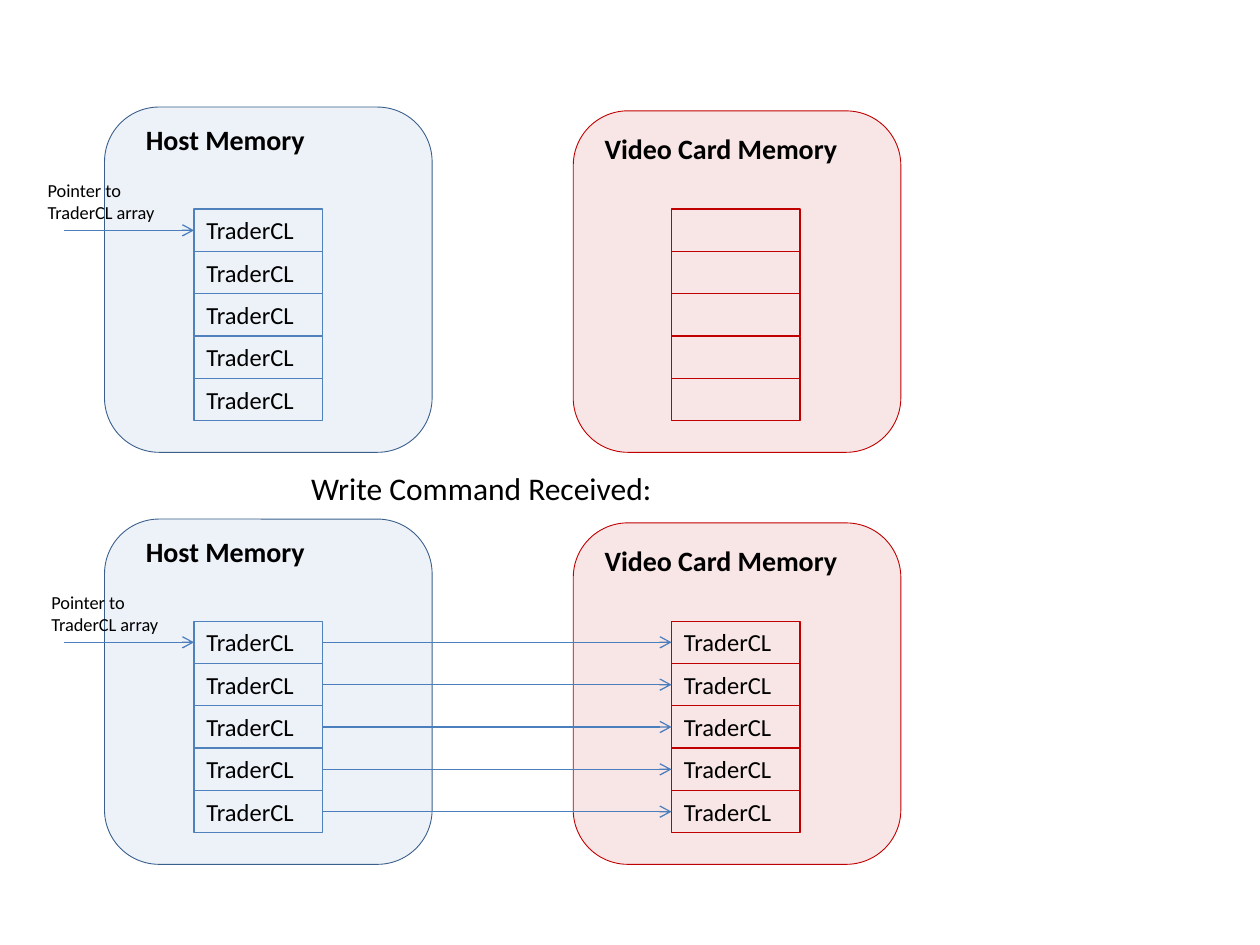
"""Slide showing a TraderCL array copied from host memory to video card memory."""
from lxml import etree
from pptx import Presentation
from pptx.dml.color import RGBColor
from pptx.enum import shapes, text
from pptx.oxml import ns
from pptx.util import Inches, Pt

COLORS = {"host": "4F81BD", "host_edge": "3A5F8C", "card": "C00000",
          "arrow": "4B7EBC", "text": "000000"}
COLORS = {part: RGBColor.from_string(value) for part, value in COLORS.items()}
ROWS, ROW_HEIGHT, CELL_WIDTH = 5, 0.336, 1.02
HOST_X, CARD_X, POINTER_X = 1.54, 5.33, 0.51

prs = Presentation()
prs.slide_width, prs.slide_height = Inches(10), Inches(7.5)
slide = prs.slides.add_slide(prs.slide_layouts[6])


def write(holder, words, size, bold=False, align=text.PP_ALIGN.LEFT):
    frame = holder.text_frame
    frame.word_wrap = True
    frame.vertical_anchor = text.MSO_ANCHOR.TOP
    paragraph = frame.paragraphs[0]
    paragraph.text = words
    paragraph.alignment = align
    paragraph.font.name = "Calibri"
    paragraph.font.size = Pt(size)
    paragraph.font.bold = bold
    paragraph.font.color.rgb = COLORS["text"]


def add_arrow(start, end, y):
    arrow = slide.shapes.add_connector(
        shapes.MSO_CONNECTOR.STRAIGHT, Inches(start), Inches(y), Inches(end), Inches(y))
    arrow.line.color.rgb = COLORS["arrow"]
    arrow.line.width = Pt(0.75)
    etree.SubElement(arrow.line._get_or_add_ln(), ns.qn("a:tailEnd"), type="arrow")
    etree.SubElement(arrow._element.spPr, ns.qn("a:effectLst"))


stages = [(0.85, 0.28, "", False), (4.12, 0.31, "TraderCL", True)]
for top, label_x, card_entry, copying in stages:
    array_top = top + 0.81
    memories = [
        (0.83, top, 2.74, "host", "host_edge", HOST_X, "TraderCL",
         "Host Memory", 1.06, top + 0.07, 1.5),
        (4.55, top + 0.03, 2.71, "card", "card", CARD_X, card_entry,
         "Video Card Memory", 4.7, top + 0.145, 2.28),
    ]
    for x, y, height, color, edge, cell_x, entry, title, title_x, title_y, title_width in memories:
        memory = slide.shapes.add_shape(
            shapes.MSO_SHAPE.ROUNDED_RECTANGLE, Inches(x), Inches(y), Inches(2.6), Inches(height))
        memory.shadow.inherit = False
        memory.fill.solid()
        memory.fill.fore_color.rgb = COLORS[color]
        tint = memory._element.spPr.find(".//" + ns.qn("a:srgbClr"))
        etree.SubElement(tint, ns.qn("a:alpha"), val="10000")
        memory.line.color.rgb = COLORS[edge]
        memory.line.width = Pt(0.5)

        for row in range(ROWS):
            cell = slide.shapes.add_shape(
                shapes.MSO_SHAPE.RECTANGLE, Inches(cell_x), Inches(array_top + row * ROW_HEIGHT),
                Inches(CELL_WIDTH), Inches(ROW_HEIGHT))
            cell.shadow.inherit = False
            cell.fill.background()
            cell.line.color.rgb = COLORS[color]
            cell.line.width = Pt(0.75)
            if entry:
                write(cell, entry, 14)

        heading = slide.shapes.add_textbox(
            Inches(title_x), Inches(title_y), Inches(title_width), Inches(0.37))
        write(heading, title, 16, bold=True)

    first_row_y = array_top + ROW_HEIGHT / 2
    if copying:
        for row in range(ROWS):
            add_arrow(HOST_X + CELL_WIDTH, CARD_X, first_row_y + row * ROW_HEIGHT)
    add_arrow(POINTER_X, HOST_X, first_row_y)
    pointer = slide.shapes.add_textbox(
        Inches(label_x), Inches(top + 0.52), Inches(1.1), Inches(0.45))
    write(pointer, "Pointer to TraderCL array", 10.5)

command = slide.shapes.add_textbox(Inches(1.93), Inches(3.67), Inches(3.78), Inches(0.4))
write(command, "Write Command Received:", 18, align=text.PP_ALIGN.CENTER)

prs.save("out.pptx")
